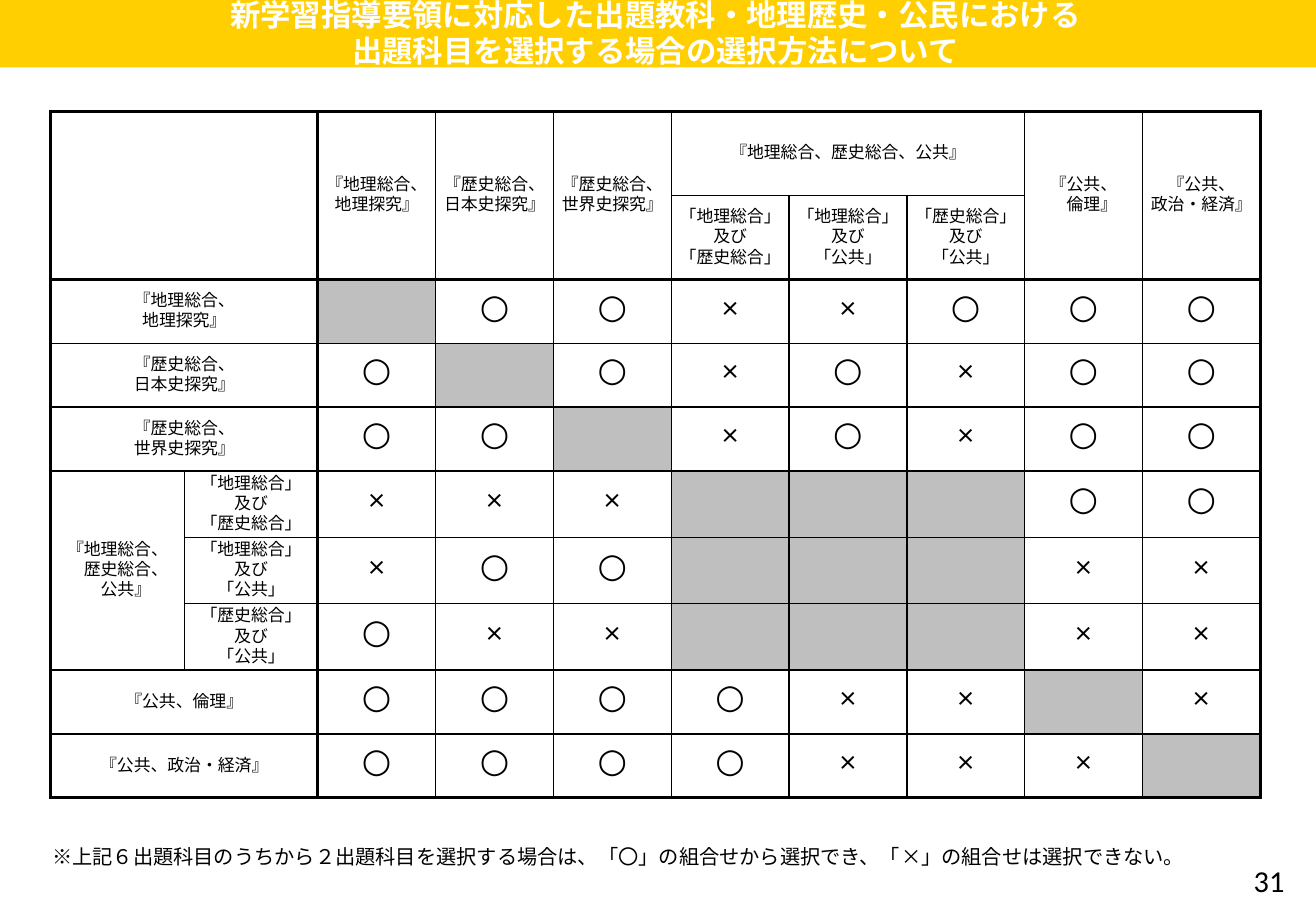
from lxml import etree
from pptx import Presentation
from pptx.dml.color import RGBColor
from pptx.enum.lang import MSO_LANGUAGE_ID
from pptx.enum.shapes import MSO_SHAPE
from pptx.enum.text import MSO_ANCHOR, PP_ALIGN
from pptx.oxml.ns import qn
from pptx.util import Pt

RECT = MSO_SHAPE.RECTANGLE
MIDDLE, TOP = MSO_ANCHOR.MIDDLE, MSO_ANCHOR.TOP
LEFT, CENTER, JUSTIFY = PP_ALIGN.LEFT, PP_ALIGN.CENTER, PP_ALIGN.JUSTIFY
JAPANESE = MSO_LANGUAGE_ID.JAPANESE

COLORS = {"band": "FFCF01", "white": "FFFFFF", "black": "000000", "gray": "BFBFBF"}
GOTHIC = "Noto Sans CJK JP"

TITLE = "新学習指導要領に対応した出題教科・地理歴史・公民における\n出題科目を選択する場合の選択方法について"
NOTE = ("※上記６出題科目のうちから２出題科目を選択する場合は、"
        "「〇」の組合せから選択でき、「×」の組合せは選択できない。")

# Subjects, shared by the column heads and the row heads
GEOGRAPHY = "『地理総合、\n地理探究』"
JAPAN = "『歴史総合、\n日本史探究』"
WORLD = "『歴史総合、\n世界史探究』"
PAIRS = ["「地理総合」\n及び\n「歴史総合」", "「地理総合」\n及び\n「公共」", "「歴史総合」\n及び\n「公共」"]

# (row, column, rows spanned, columns spanned, text)
HEADS = [
    (0, 0, 2, 2, ""),
    (0, 2, 2, 1, GEOGRAPHY),
    (0, 3, 2, 1, JAPAN),
    (0, 4, 2, 1, WORLD),
    (0, 5, 1, 3, "『地理総合、歴史総合、公共』"),
    (0, 8, 2, 1, "『公共、\n　倫理』"),
    (0, 9, 2, 1, "『公共、\n政治・経済』"),
    (2, 0, 1, 2, GEOGRAPHY),
    (3, 0, 1, 2, JAPAN),
    (4, 0, 1, 2, WORLD),
    (5, 0, 3, 1, "『地理総合、\n　歴史総合、\n　公共』"),
    (8, 0, 1, 2, "『公共、倫理』"),
    (9, 0, 1, 2, "『公共、政治・経済』"),
]
HEADS += [(1, 5 + i, 1, 1, pair) for i, pair in enumerate(PAIRS)]
HEADS += [(5 + i, 1, 1, 1, pair) for i, pair in enumerate(PAIRS)]

# One string per body row; "-" is a gray cell
MARKS = [
    "-○○××○○○",
    "○-○×○×○○",
    "○○-×○×○○",
    "×××---○○",
    "×○○---××",
    "○××---××",
    "○○○○××-×",
    "○○○○×××-",
]
COL_WIDTHS = [79.2] * 2 + [69.84] * 8
ROW_HEIGHTS = [49.9] * 2 + [37.8] * 3 + [39.4] * 3 + [37.8] * 2
THICK_GRID_LINES = (0, 2, 10)


def color(name):
    return RGBColor.from_string(COLORS[name])


def write(tf, text, size, font=GOTHIC, fill="black", bold=False, align=CENTER, spacing=None):
    """Write one paragraph per line of text."""
    for i, line in enumerate(text.split("\n")):
        p = tf.paragraphs[0] if i == 0 else tf.add_paragraph()
        p.alignment = align
        if spacing:
            p.line_spacing = Pt(spacing)
        r = p.add_run()
        r.text = line
        r.font.size, r.font.name, r.font.bold = Pt(size), font, bold
        r.font.color.rgb = color(fill)
        r.font.language_id = JAPANESE
        etree.SubElement(r.font._element, qn("a:ea"), typeface=GOTHIC)


def add_band(s, x, y, w, h):
    sp = s.shapes.add_shape(RECT, Pt(x), Pt(y), Pt(w), Pt(h))
    sp.shadow.inherit = False
    sp.fill.solid()
    sp.fill.fore_color.rgb = color("band")
    sp.line.fill.background()


def add_text(s, x, y, w, h, text, size, insets=(7.2, 3.6, 7.2, 3.6), **fmt):
    tf = s.shapes.add_textbox(Pt(x), Pt(y), Pt(w), Pt(h)).text_frame
    tf.word_wrap = True
    tf.vertical_anchor = TOP
    set_insets(tf, insets)
    write(tf, text, size, **fmt)


def set_insets(box, insets):
    box.margin_left, box.margin_top, box.margin_right, box.margin_bottom = map(Pt, insets)


def set_borders(cell, row, col):
    """Draw thick lines round the table and after the heads, thin ones elsewhere."""
    edges = {"L": col, "R": col + cell.span_width, "T": row, "B": row + cell.span_height}
    tcPr = cell._tc.get_or_add_tcPr()
    for i, (side, grid_line) in enumerate(edges.items()):
        width = 2.25 if grid_line in THICK_GRID_LINES else 1
        ln = etree.Element(qn(f"a:ln{side}"), w=str(Pt(width)))
        fill = etree.SubElement(ln, qn("a:solidFill"))
        etree.SubElement(fill, qn("a:srgbClr"), val=COLORS["black"])
        tcPr.insert(i, ln)


def add_matrix(s, x, y):
    rows, cols = len(ROW_HEIGHTS), len(COL_WIDTHS)
    frame = s.shapes.add_table(rows, cols, Pt(x), Pt(y), Pt(sum(COL_WIDTHS)), Pt(sum(ROW_HEIGHTS)))
    table = frame.table
    table.first_row = table.horz_banding = False
    for column, width in zip(table.columns, COL_WIDTHS):
        column.width = Pt(width)
    for row, height in zip(table.rows, ROW_HEIGHTS):
        row.height = Pt(height)

    # Heads
    for row, col, height, width, text in HEADS:
        cell = table.cell(row, col)
        if height * width > 1:
            cell.merge(table.cell(row + height - 1, col + width - 1))
        set_insets(cell, (4.32, 0, 4.32, 0))
        if text:
            write(cell.text_frame, text, 10, font="Cambria", spacing=12)

    # Marks
    for row, marks in enumerate(MARKS, 2):
        for col, mark in enumerate(marks, 2):
            cell = table.cell(row, col)
            set_insets(cell, (4.32, 5.76, 4.32, 0))
            if mark != "-":
                write(cell.text_frame, mark, 20, font="Cambria", spacing=12)

    # Fills and borders
    for row in range(rows):
        for col in range(cols):
            cell = table.cell(row, col)
            cell.vertical_anchor = MIDDLE
            if min(row, col) >= 2 and MARKS[row - 2][col - 2] == "-":
                cell.fill.solid()
                cell.fill.fore_color.rgb = color("gray")
            else:
                cell.fill.background()
            if not cell.is_spanned:
                set_borders(cell, row, col)


def main():
    prs = Presentation()
    prs.slide_width, prs.slide_height = Pt(780), Pt(540)
    s = prs.slides.add_slide(prs.slide_layouts[6])

    # Title band
    add_band(s, -1.5, -2, 783, 42)
    add_text(s, -15.5, -2, 808, 44, TITLE, 18, insets=(0, 0.6, 0, 0), fill="white", bold=True, spacing=21)

    # Table of combinations
    add_matrix(s, 30, 66)

    # Note and page number
    add_text(s, 23.8, 496.8, 738, 21.6, NOTE, 12, align=JUSTIFY, spacing=14.4)
    add_text(s, 736, 507.6, 37.4, 28.8, "31", 18, font="Calibri", align=LEFT)

    prs.save("out.pptx")


if __name__ == "__main__":
    main()
